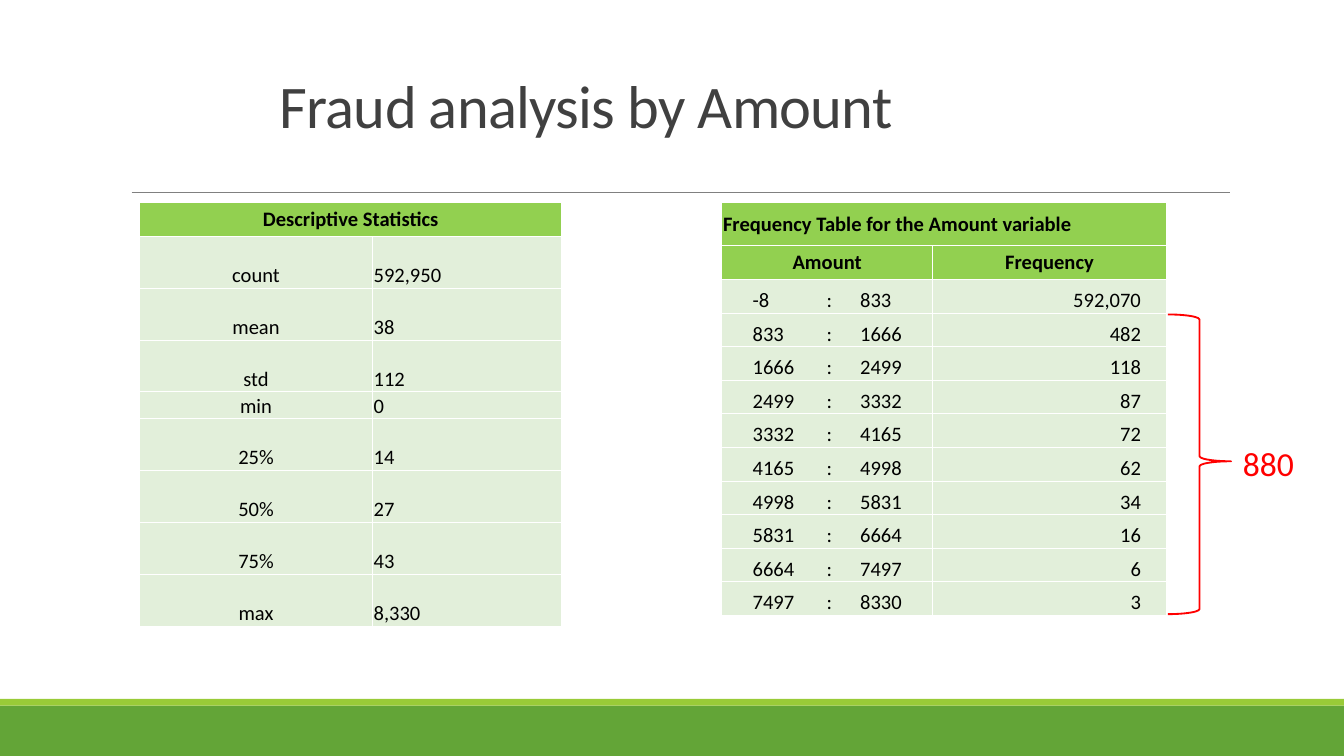
from dataclasses import dataclass

from lxml.etree import SubElement
from pptx import Presentation
from pptx.dml.color import RGBColor
from pptx.enum.shapes import MSO_CONNECTOR, MSO_SHAPE
from pptx.enum.text import MSO_ANCHOR, PP_ALIGN
from pptx.oxml import parse_xml
from pptx.oxml.ns import nsdecls, qn
from pptx.util import Inches, Pt


@dataclass(frozen=True)
class Theme:
    font: str = "Calibri"
    title_size: float = 32.4
    table_size: float = 11
    callout_size: float = 18
    title: str = "404040"
    text: str = "000000"
    rule: str = "808080"
    footer: str = "63A537"
    footer_edge: str = "99CB38"
    header_fill: str = "92D050"
    body_fill: str = "E2EFDA"
    border: str = "FFFFFF"
    accent: str = "FF0000"


class SlideBuilder:
    def __init__(self, slide, theme):
        self.slide = slide
        self.theme = theme

    def style(self, paragraph, size, color, bold=False, align=PP_ALIGN.LEFT):
        font = paragraph.font
        font.name, font.size, font.bold = self.theme.font, Pt(size), bold
        font.color.rgb = RGBColor.from_string(color)
        paragraph.alignment = align

    def title(self, text, left, top, width, height, indent):
        title = self.slide.shapes.title
        title.left, title.top = Inches(left), Inches(top)
        title.width, title.height = Inches(width), Inches(height)
        frame = title.text_frame
        frame.text = text
        frame.vertical_anchor = MSO_ANCHOR.MIDDLE
        frame.margin_left = Inches(indent)
        frame.margin_right = frame.margin_top = frame.margin_bottom = Inches(0.1)
        paragraph = frame.paragraphs[0]
        paragraph.line_spacing = 0.85
        self.style(paragraph, self.theme.title_size, self.theme.title)
        paragraph.runs[0].font._element.set("spc", "-40")

    def band(self, top, height, color):
        band = self.slide.shapes.add_shape(
            MSO_SHAPE.RECTANGLE, 0, Inches(top), Inches(10), Inches(height))
        band.shadow.inherit = False
        band.fill.solid()
        band.fill.fore_color.rgb = RGBColor.from_string(color)
        band.line.fill.background()

    def rule(self, left, right, y):
        rule = self.slide.shapes.add_connector(
            MSO_CONNECTOR.STRAIGHT, Inches(left), Inches(y), Inches(right), Inches(y))
        rule.line.color.rgb = RGBColor.from_string(self.theme.rule)
        rule.line.width = Pt(0.5)
        SubElement(rule._element.spPr, qn("a:effectLst"))

    def brace(self, left, top, width, height):
        brace = self.slide.shapes.add_shape(
            MSO_SHAPE.RIGHT_BRACE, Inches(left), Inches(top), Inches(width), Inches(height))
        brace.adjustments[0], brace.adjustments[1] = 0.08, 0.49
        brace.shadow.inherit = False
        brace.fill.background()
        brace.line.color.rgb = RGBColor.from_string(self.theme.accent)
        brace.line.width = Pt(1)

    def callout(self, text, left, top, width, height):
        box = self.slide.shapes.add_textbox(
            Inches(left), Inches(top), Inches(width), Inches(height))
        box.text_frame.word_wrap = True
        box.text_frame.text = text
        self.style(box.text_frame.paragraphs[0], self.theme.callout_size, self.theme.accent)

    def table(self, left, top, column_widths, row_heights):
        table = self.slide.shapes.add_table(
            len(row_heights), len(column_widths), Inches(left), Inches(top),
            Inches(sum(column_widths)), Inches(sum(row_heights))).table
        table.first_row = table.horz_banding = False
        for column, width in zip(table.columns, column_widths):
            column.width = Inches(width)
        for row, height in zip(table.rows, row_heights):
            row.height = Inches(height)
        table.cell(0, 0).merge(table.cell(0, len(column_widths) - 1))
        return table

    def cell(self, cell, text, align=PP_ALIGN.CENTER, header=False, left=0.01, right=0.01):
        theme = self.theme
        cell.text = text
        cell.margin_left, cell.margin_right = Inches(left), Inches(right)
        cell.margin_top, cell.margin_bottom = Inches(0.01), Inches(0.01 if header else 0)
        cell.vertical_anchor = MSO_ANCHOR.MIDDLE if header else MSO_ANCHOR.BOTTOM
        self.style(cell.text_frame.paragraphs[0], theme.table_size, theme.text, header, align)
        cell.fill.solid()
        cell.fill.fore_color.rgb = RGBColor.from_string(
            theme.header_fill if header else theme.body_fill)
        properties = cell._tc.get_or_add_tcPr()
        for index, side in enumerate(("lnL", "lnR", "lnT", "lnB")):
            properties.insert(index, parse_xml(
                f'<a:{side} {nsdecls("a")} w="{Pt(0.5)}"><a:solidFill>'
                f'<a:srgbClr val="{theme.border}"/></a:solidFill></a:{side}>'))

    def range_cell(self, cell, low, high):
        """Set a range on tab stops, so that the colons line up."""
        self.cell(cell, f"{low}\t:\t{high}", PP_ALIGN.LEFT, left=0.23)
        properties = cell.text_frame.paragraphs[0]._p.get_or_add_pPr()
        tabs = parse_xml(
            f'<a:tabLst {nsdecls("a")}><a:tab pos="{Inches(0.57)}" algn="ctr"/>'
            f'<a:tab pos="{Inches(0.8)}" algn="l"/></a:tabLst>')
        properties.insert_element_before(tabs, "a:defRPr", "a:extLst")


STATISTICS = [
    ("count", "592,950"), ("mean", "38"), ("std", "112"), ("min", "0"),
    ("25%", "14"), ("50%", "27"), ("75%", "43"), ("max", "8,330"),
]
BIN_EDGES = [-8] + [833 * step for step in range(1, 11)]
FREQUENCIES = [592070, 482, 118, 87, 72, 62, 34, 16, 6, 3]


def add_statistics(builder):
    header, short, total = 0.25, 0.2, 3.15
    tall = (total - header - short) / (len(STATISTICS) - 1)
    heights = [header] + [short if name == "min" else tall for name, _ in STATISTICS]
    table = builder.table(1.04, 1.51, [1.73, 1.41], heights)
    builder.cell(table.cell(0, 0), "Descriptive Statistics", header=True)
    for row, (name, value) in enumerate(STATISTICS, start=1):
        builder.cell(table.cell(row, 0), name)
        builder.cell(table.cell(row, 1), value, PP_ALIGN.LEFT)


def add_frequencies(builder):
    table = builder.table(5.37, 1.51, [1.57, 1.74], [0.32] + [0.25] * 11)
    builder.cell(table.cell(0, 0), "Frequency Table for the Amount variable",
                 PP_ALIGN.LEFT, header=True)
    for column, heading in enumerate(("Amount", "Frequency")):
        builder.cell(table.cell(1, column), heading, header=True)
    bins = zip(BIN_EDGES, BIN_EDGES[1:], FREQUENCIES)
    for row, (low, high, frequency) in enumerate(bins, start=2):
        builder.range_cell(table.cell(row, 0), low, high)
        builder.cell(table.cell(row, 1), f"{frequency:,}", PP_ALIGN.RIGHT, right=0.19)


def main():
    presentation = Presentation()
    presentation.slide_width = Inches(10)
    presentation.slide_height = presentation.slide_width * 9 // 16
    theme = Theme()
    slide = presentation.slides.add_slide(presentation.slide_layouts[5])
    builder = SlideBuilder(slide, theme)
    builder.band(5.25, 0.38, theme.footer)
    builder.band(5.2, 0.05, theme.footer_edge)
    builder.rule(0.98, 9.15, 1.43)
    builder.title("Fraud analysis by Amount", 0.34, 0.5, 9.32, 0.63, indent=1.74)
    add_frequencies(builder)
    add_statistics(builder)
    builder.brace(8.69, 2.34, 0.47, 2.23)
    builder.callout(f"{sum(FREQUENCIES[1:])}", 9.15, 3.25, 0.72, 0.4)
    presentation.save("out.pptx")


if __name__ == "__main__":
    main()
